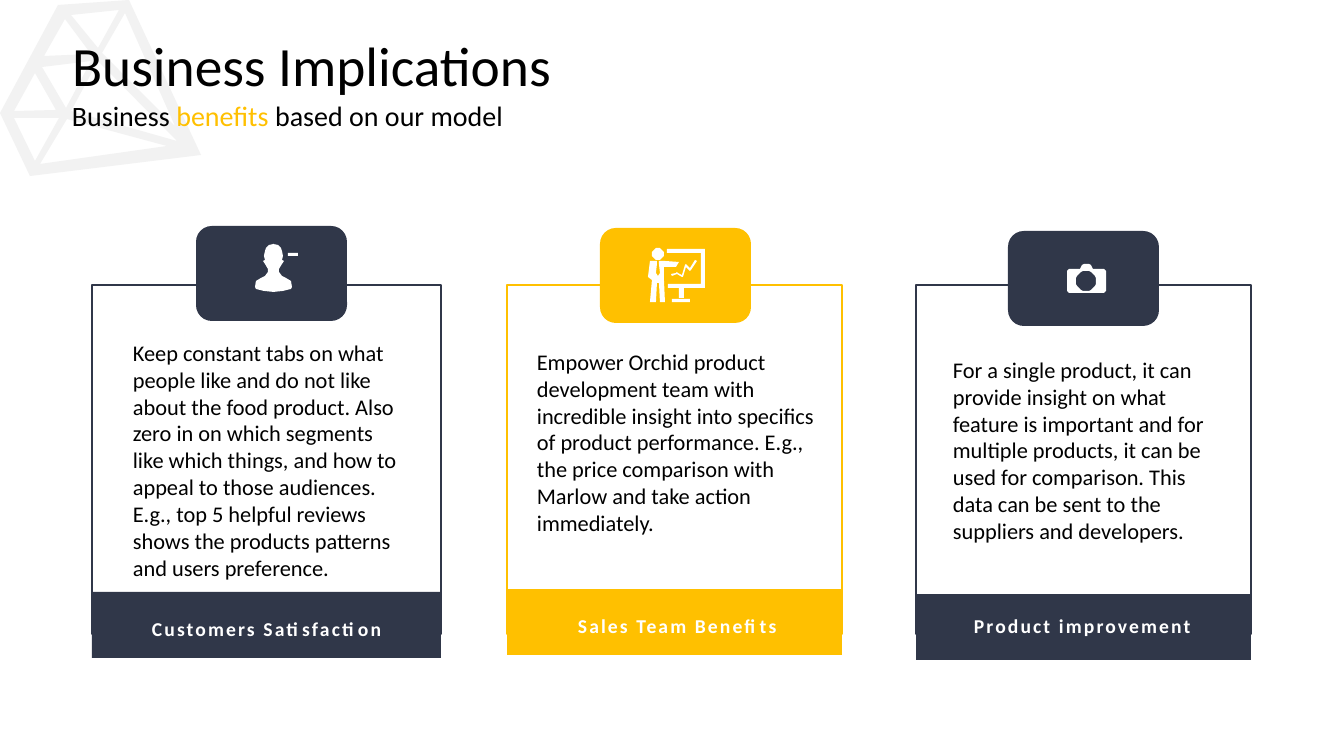
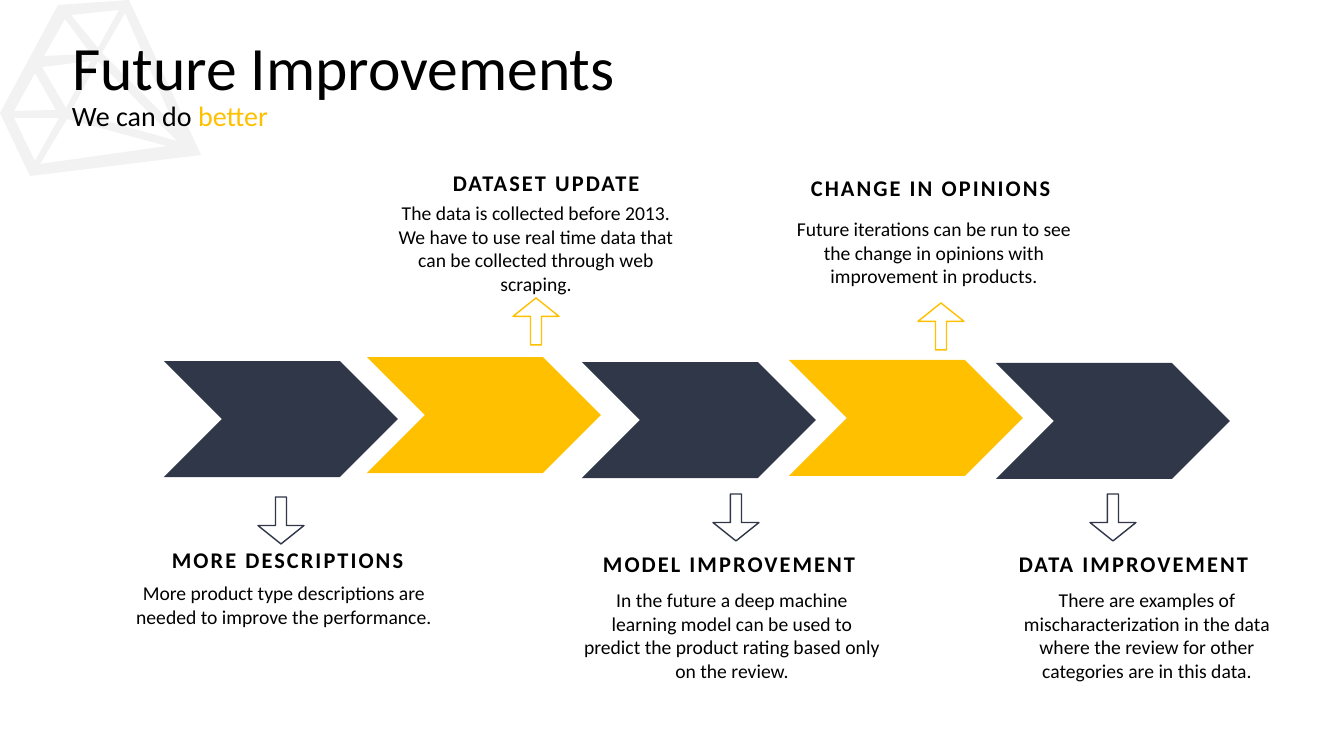
from math import cos, pi, sin

from pptx import Presentation
from pptx.dml.color import RGBColor
from pptx.enum.shapes import MSO_SHAPE
from pptx.enum.text import MSO_ANCHOR, PP_ALIGN
from pptx.util import Pt

PX = 914400 / 100.8
FONT = "Calibri"
NAVY = RGBColor(0x30, 0x37, 0x49)
GOLD = RGBColor(0xFF, 0xC0, 0x00)
PALE = RGBColor(0xF2, 0xF2, 0xF2)
BLACK = RGBColor(0x00, 0x00, 0x00)
WHITE = RGBColor(0xFF, 0xFF, 0xFF)

# Background gem: outline, then the facets cut out of it
GEM = [
    [(58, 5), (0, 113), (30, 176), (201, 155), (129, 0)],
    [(119, 10), (98, 48), (71, 15)],
    [(65, 19), (91, 54), (44, 56)],
    [(91, 61), (66, 108), (42, 67)],
    [(35, 73), (56, 110), (14, 111)],
    [(14, 118), (59, 118), (35, 161)],
    [(40, 164), (67, 119), (167, 146)],
    [(71, 111), (98, 61), (177, 141)],
    [(175, 126), (102, 53), (125, 13)],
]


def circle(cx, cy, radius, steps=24):
    return [(round(cx + radius * cos(2 * pi * i / steps), 2),
             round(cy + radius * sin(2 * pi * i / steps), 2)) for i in range(steps)]


# Card icons, each a list of outlines
BUST_HALF = [(273, 244), (278, 245), (281, 248), (282, 251), (283, 256), (282, 260),
             (284, 261), (282, 264), (279, 269), (279, 272), (282, 276), (286, 278),
             (291, 281), (292, 287), (291, 289), (283, 291), (273, 292)]
CUSTOMER = [
    BUST_HALF + [(547 - x, y) for x, y in reversed(BUST_HALF)],
    [(288, 253), (298, 253), (298, 256), (288, 256)],
]
PRESENTER = [
    circle(658, 254, 6),
    [(671, 274), (676, 273), (677, 272), (678, 273), (682, 275), (685, 265),
     (686, 264), (690, 268), (695, 260), (697, 261), (691, 270), (690, 271),
     (686, 267), (683, 277), (682, 277), (677, 274), (672, 276)],
    [(672, 299), (690, 299), (690, 302), (672, 302)],
    [(684, 288), (705, 288), (705, 249), (667, 249), (667, 253), (701, 253),
     (701, 284), (668, 284), (668, 288), (679, 288), (679, 298), (684, 298)],
    [(648, 277), (652, 280), (650, 302), (656, 302), (657, 283), (659, 283),
     (660, 302), (665, 302), (664, 280), (664, 267), (676, 267), (679, 262),
     (665, 261), (659, 261), (659, 264), (660, 273), (658, 276), (656, 273),
     (657, 264), (657, 261), (650, 261)],
]
CAMERA = [
    [(1069, 269), (1080, 269), (1082, 265), (1084, 264), (1089, 264), (1091, 265),
     (1093, 269), (1104, 269), (1106, 271), (1106, 291), (1104, 293), (1069, 293),
     (1067, 291), (1067, 271)],
    circle(1086, 281, 10),
]

CARD_TOP, CARD_H = 285, 349
TAB_W, TAB_H, FOOTER_H = 151, 95, 66
CARDS = [
    dict(color=NAVY, x=92, w=349, tab=(196, 226), footer_y=592, icon=CUSTOMER,
         label="Customers Satisfaction", label_at=(142, 612, 263, 34),
         body_at=(123, 334, 295, 281),
         body="Keep constant tabs on what people like and do not like about the food "
              "product. Also zero in on which segments like which things, and how to "
              "appeal to those audiences. E.g., top 5 helpful reviews shows the "
              "products patterns and users preference."),
    dict(color=GOLD, x=507, w=335, tab=(600, 228), footer_y=589, icon=PRESENTER,
         label="Sales Team Benefits", label_at=(568, 609, 223, 34),
         body_at=(527, 343, 297, 201),
         body="Empower Orchid product development team with incredible insight into "
              "specifics of product performance. E.g., the price comparison with "
              "Marlow and take action immediately."),
    dict(color=NAVY, x=916, w=335, tab=(1008, 231), footer_y=594, icon=CAMERA,
         label="Product improvement", label_at=(964, 609, 241, 34),
         body_at=(943, 351, 297, 201),
         body="For a single product, it can provide insight on what feature is "
              "important and for multiple products, it can be used for comparison. "
              "This data can be sent to the suppliers and developers."),
]

# Steps alternate: navy ones point down, gold ones point up
CHEVRON_SIZE, ARROW_SIZE = (234, 116), (46, 47)
NOTE_W, NOTE_H, HEADING_H = 318, 105, 37
STEPS = [
    dict(chevron=(164, 361), arrow=(258, 497), heading_at=(162, 541, 257),
         note_at=(125, 576), heading="MORE DESCRIPTIONS",
         note="More product type descriptions are needed to improve the performance."),
    dict(chevron=(367, 357), arrow=(513, 298), heading_at=(443, 164, 212),
         note_at=(377, 196), heading="DATASET UPDATE",
         note="The data is collected before 2013. We have to use real time data that "
              "can be collected through web scraping."),
    dict(chevron=(582, 362), arrow=(713, 494), heading_at=(593, 545, 278),
         note_at=(573, 583), heading="MODEL IMPROVEMENT",
         note="In the future a deep machine learning model can be used to predict the "
              "product rating based only on the review."),
    dict(chevron=(789, 360), arrow=(918, 303), heading_at=(801, 169, 265),
         note_at=(775, 212), heading="CHANGE IN OPINIONS",
         note="Future iterations can be run to see the change in opinions with "
              "improvement in products."),
    dict(chevron=(996, 363), arrow=(1090, 494), heading_at=(1009, 545, 255),
         note_at=(988, 583), heading="DATA IMPROVEMENT",
         note="There are examples of mischaracterization in the data where the review "
              "for other categories are in this data."),
]


def px(*values):
    return [round(v * PX) for v in values]


def paint(sp, fill=None, line=None):
    sp.shadow.inherit = False
    if fill is None:
        sp.fill.background()
    else:
        sp.fill.solid()
        sp.fill.fore_color.rgb = fill
    if line is None:
        sp.line.fill.background()
    else:
        sp.line.color.rgb = line
        sp.line.width = Pt(1)
    return sp


def add_preset(s, kind, x, y, w, h, fill=None, line=None):
    return paint(s.shapes.add_shape(kind, *px(x, y, w, h)), fill, line)


def add_outline(s, contours, fill):
    first, *others = contours
    builder = s.shapes.build_freeform(*first[0], scale=PX)
    builder.add_line_segments(first[1:], close=True)
    for points in others:
        builder.move_to(*points[0])
        builder.add_line_segments(points[1:], close=True)
    return paint(builder.convert_to_shape(), fill)


def add_run(p, text, size, color=BLACK, bold=False, spacing=None):
    r = p.add_run()
    r.text = text
    r.font.name, r.font.size, r.font.bold = FONT, Pt(size), bold
    r.font.color.rgb = color
    if spacing:
        r._r.get_or_add_rPr().set("spc", str(round(spacing * 100)))


def add_text(s, x, y, w, h, runs, size, align=PP_ALIGN.LEFT, bold=False, spacing=None):
    tf = s.shapes.add_textbox(*px(x, y, w, h)).text_frame
    tf.word_wrap = True
    p = tf.paragraphs[0]
    p.alignment = align
    for text, color in runs:
        add_run(p, text, size, color, bold, spacing)


def add_titled_slide(prs, title, size, top, height, subtitle):
    s = prs.slides.add_slide(prs.slide_layouts[5])
    sp = s.shapes.title
    sp.left, sp.top, sp.width, sp.height = px(62, top, 1159, height)
    tf = sp.text_frame
    tf.word_wrap = True
    tf.vertical_anchor = MSO_ANCHOR.BOTTOM
    p = tf.paragraphs[0]
    p.alignment = PP_ALIGN.LEFT
    p.line_spacing = 0.9
    add_run(p, title, size)
    add_text(s, 62, 94, 672, 44, subtitle, 20)
    return s


def build_benefits(prs):
    s = add_titled_slide(prs, "Business Implications", 39.6, 30, 74, [
        ("Business ", BLACK), ("benefits ", GOLD), ("based on our model", BLACK)])
    for card in CARDS:
        x, w, color = card["x"], card["w"], card["color"]
        add_preset(s, MSO_SHAPE.RECTANGLE, x, CARD_TOP, w, CARD_H, line=color)
        add_preset(s, MSO_SHAPE.ROUNDED_RECTANGLE, *card["tab"], TAB_W, TAB_H, color)
        add_preset(s, MSO_SHAPE.RECTANGLE, x, card["footer_y"], w, FOOTER_H, color)
        add_outline(s, card["icon"], WHITE)
        add_text(s, *card["body_at"], [(card["body"], BLACK)], 16)
        add_text(s, *card["label_at"], [(card["label"], WHITE)], 14,
                 bold=True, spacing=1.5)
    return s


def build_improvements(prs):
    s = add_titled_slide(prs, "Future Improvements", 44, 29, 80, [
        ("We can do ", BLACK), ("better", GOLD)])
    looks = [(NAVY, MSO_SHAPE.DOWN_ARROW), (GOLD, MSO_SHAPE.UP_ARROW)]
    for i, step in enumerate(STEPS):
        color, arrow_kind = looks[i % 2]
        add_preset(s, MSO_SHAPE.CHEVRON, *step["chevron"], *CHEVRON_SIZE, color)
        arrow = add_preset(s, arrow_kind, *step["arrow"], *ARROW_SIZE, line=color)
        arrow.adjustments[0], arrow.adjustments[1] = 0.24, 0.4
        add_text(s, *step["note_at"], NOTE_W, NOTE_H, [(step["note"], BLACK)], 14,
                 align=PP_ALIGN.CENTER)
        add_text(s, *step["heading_at"], HEADING_H, [(step["heading"], BLACK)], 16,
                 bold=True, spacing=1.5)


def main():
    prs = Presentation()
    prs.slide_width, prs.slide_height = px(1344, 756)
    s = build_benefits(prs)
    build_improvements(prs)
    # The gem belongs to the shared layout, behind every slide
    gem = add_outline(s, GEM, PALE)
    s.slide_layout.shapes._spTree.append(gem._element)
    prs.save("out.pptx")


if __name__ == "__main__":
    main()
